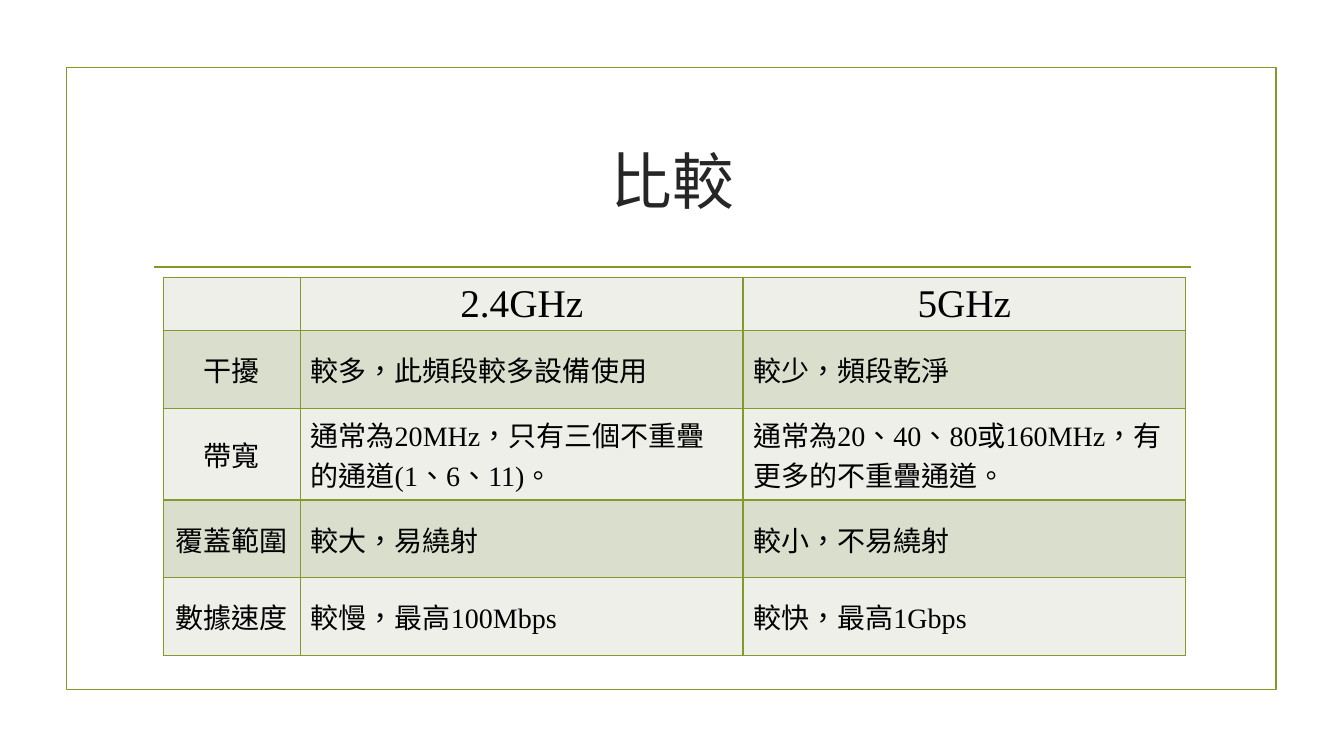
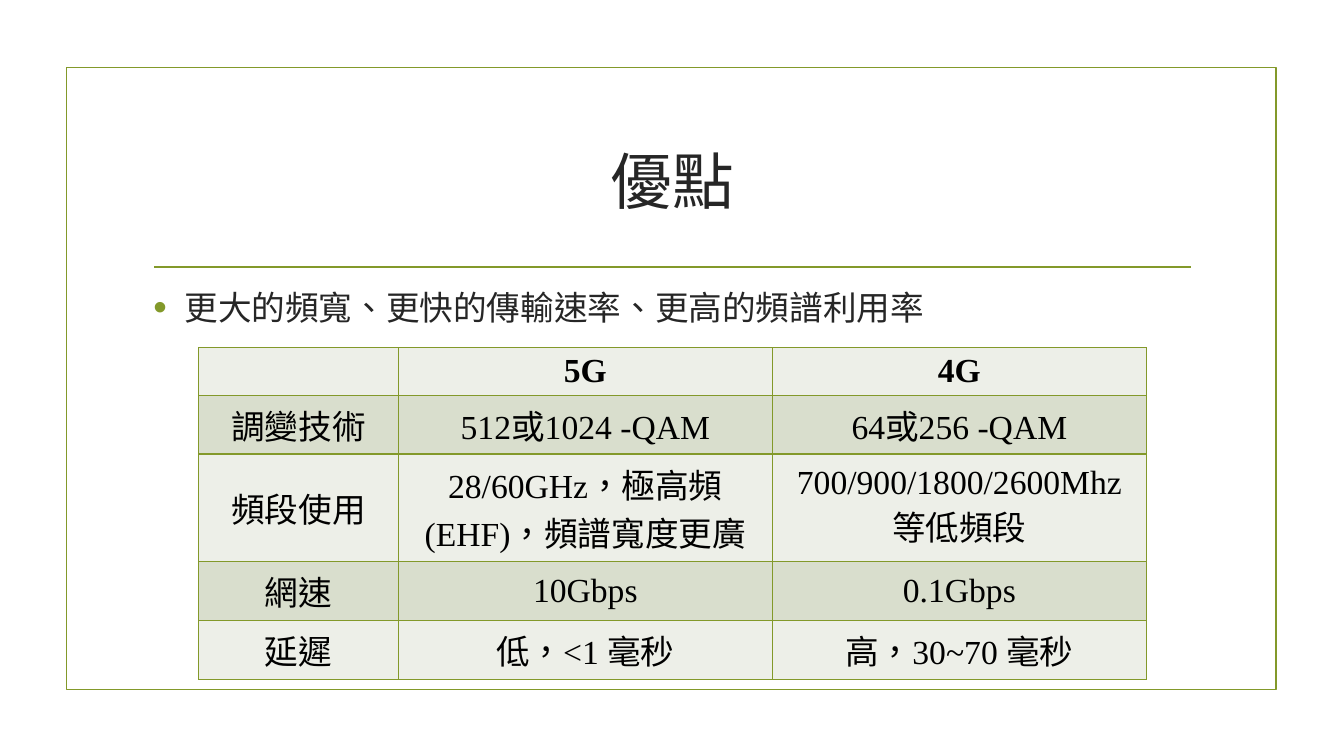
from lxml import etree
from pptx import Presentation
from pptx.dml.color import RGBColor
from pptx.enum.lang import MSO_LANGUAGE_ID as Lang
from pptx.enum.shapes import MSO_CONNECTOR as Connector, MSO_SHAPE as Shape
from pptx.enum.text import MSO_ANCHOR as Anchor, MSO_AUTO_SIZE as AutoSize, PP_ALIGN as Align
from pptx.oxml.ns import qn
from pptx.util import Inches, Pt

FONT = "Times New Roman"
COLOURS = {
    "accent": "83992A",
    "heading": "262626",
    "cell_text": "000000",
    "light_row": "EDEFE8",
    "dark_row": "D9DECD",
}
TITLE_ONLY, TITLE_AND_BODY = 5, 1

BAND_ROWS = [
    ["", "2.4GHz", "5GHz"],
    ["干擾", "較多，此頻段較多設備使用", "較少，頻段乾淨"],
    ["帶寬", "通常為20MHz，只有三個不重疊的通道(1、6、11)。",
     "通常為20、40、80或160MHz，有更多的不重疊通道。"],
    ["覆蓋範圍", "較大，易繞射", "較小，不易繞射"],
    ["數據速度", "較慢，最高100Mbps", "較快，最高1Gbps"],
]
GENERATION_ROWS = [
    ["", "5G", "4G"],
    ["調變技術", "512或1024 -QAM", "64或256 -QAM"],
    ["頻段使用", "28/60GHz，極高頻(EHF)，頻譜寬度更廣", "700/900/1800/2600Mhz等低頻段"],
    ["網速", "10Gbps", "0.1Gbps"],
    ["延遲", "低，<1 毫秒", "高，30~70 毫秒"],
]


def colour(name):
    return RGBColor.from_string(COLOURS[name])


def add_run(para, text, size, colour_name, bold=False):
    span = para.add_run()
    span.text = text
    font = span.font
    font.name, font.size, font.bold = FONT, Pt(size), bold
    font.color.rgb = colour(colour_name)
    font.language_id = Lang.TRADITIONAL_CHINESE


def place(shape, left, top, width, height):
    shape.left, shape.top = Inches(left), Inches(top)
    shape.width, shape.height = Inches(width), Inches(height)


def decorate_master(deck, slide):
    """Draw the frame and title rule on a slide, then move them to the back of the master."""
    frame = slide.shapes.add_shape(
        Shape.RECTANGLE, Inches(0.66), Inches(0.67), Inches(12), Inches(6.17))
    frame.shadow.inherit = False
    frame.fill.background()
    rule = slide.shapes.add_connector(
        Connector.STRAIGHT, Inches(1.53), Inches(2.65), Inches(11.81), Inches(2.65))
    etree.SubElement(rule.element.spPr, qn("a:effectLst"))

    tree = deck.slide_master.shapes.element
    for offset, shape in enumerate((frame, rule)):
        shape.line.color.rgb = colour("accent")
        shape.line.width = Pt(1.25)
        shape.element.xpath("./*/p:cNvPr")[0].set("id", str(100 + offset))
        tree.insert(2 + offset, shape.element)


def position_master_placeholders(deck):
    title, body = list(deck.slide_master.placeholders)[:2]
    place(title, 1.42, 1.07, 10.5, 1.43)
    place(body, 1.42, 2.8, 10.5, 3.63)


def add_titled_slide(deck, layout_index, title):
    slide = deck.slides.add_slide(deck.slide_layouts[layout_index])
    frame = slide.shapes.title.text_frame
    frame.vertical_anchor = Anchor.MIDDLE
    para = frame.paragraphs[0]
    para.alignment = Align.CENTER
    add_run(para, title, 44, "heading")
    return slide


def add_bullet(para):
    props = para._p.get_or_add_pPr()
    props.set("marL", str(Inches(0.31)))
    props.set("indent", str(-Inches(0.31)))
    bullet_colour = etree.SubElement(props, qn("a:buClr"))
    etree.SubElement(bullet_colour, qn("a:srgbClr"), val=COLOURS["accent"])
    etree.SubElement(props, qn("a:buSzPct"), val="115000")
    etree.SubElement(props, qn("a:buFont"), typeface="Arial")
    etree.SubElement(props, qn("a:buChar"), char="•")


def fill_body(slide, text):
    frame = slide.placeholders[1].text_frame
    frame.auto_size = AutoSize.NONE
    para = frame.paragraphs[0]
    add_bullet(para)
    para.space_before, para.space_after = Pt(0), Pt(6)
    add_run(para, text, 24, "heading")


def add_borders(cell):
    """Insert the four border lines ahead of the fill, as the schema orders them."""
    props = cell._tc.get_or_add_tcPr()
    for index, side in enumerate(("lnL", "lnR", "lnT", "lnB")):
        line = etree.Element(qn(f"a:{side}"), w=str(Pt(1)))
        fill = etree.SubElement(line, qn("a:solidFill"))
        etree.SubElement(fill, qn("a:srgbClr"), val=COLOURS["accent"])
        props.insert(index, line)


def add_grid(slide, rows, left, top, widths, heights, header_size, body_size,
             header_bold=False, text_align=Align.CENTER):
    """Add a banded table; text_align applies to body cells right of the label column."""
    table = slide.shapes.add_table(
        len(rows), len(widths), Inches(left), Inches(top),
        Inches(sum(widths)), Inches(sum(heights))).table
    table.first_row = table.horz_banding = False
    for column, width in zip(table.columns, widths):
        column.width = Inches(width)
    for row_index, (row, height, texts) in enumerate(zip(table.rows, heights, rows)):
        row.height = Inches(height)
        is_header = row_index == 0
        for column_index, (cell, text) in enumerate(zip(row.cells, texts)):
            cell.fill.solid()
            cell.fill.fore_color.rgb = colour("dark_row" if row_index % 2 else "light_row")
            add_borders(cell)
            cell.vertical_anchor = Anchor.MIDDLE
            para = cell.text_frame.paragraphs[0]
            is_label = is_header or column_index == 0
            para.alignment = Align.CENTER if is_label else text_align
            if text:
                add_run(para, text, header_size if is_header else body_size,
                        "cell_text", is_header and header_bold)


def main():
    deck = Presentation()
    deck.slide_width, deck.slide_height = Inches(13.33), Inches(7.5)
    position_master_placeholders(deck)

    comparison = add_titled_slide(deck, TITLE_ONLY, "比較")
    decorate_master(deck, comparison)
    add_grid(comparison, BAND_ROWS, 1.62, 2.75, [1.36, 4.39, 4.39],
             [0.52, 0.77, 0.91, 0.77, 0.77], header_size=28, body_size=20,
             text_align=Align.LEFT)

    advantages = add_titled_slide(deck, TITLE_AND_BODY, "優點")
    fill_body(advantages, "更大的頻寬、更快的傳輸速率、更高的頻譜利用率")
    add_grid(advantages, GENERATION_ROWS, 1.97, 3.45, [1.98, 3.71, 3.71],
             [0.47, 0.58, 1.06, 0.58, 0.58], header_size=24, body_size=24,
             header_bold=True)

    deck.save("out.pptx")


if __name__ == "__main__":
    main()
